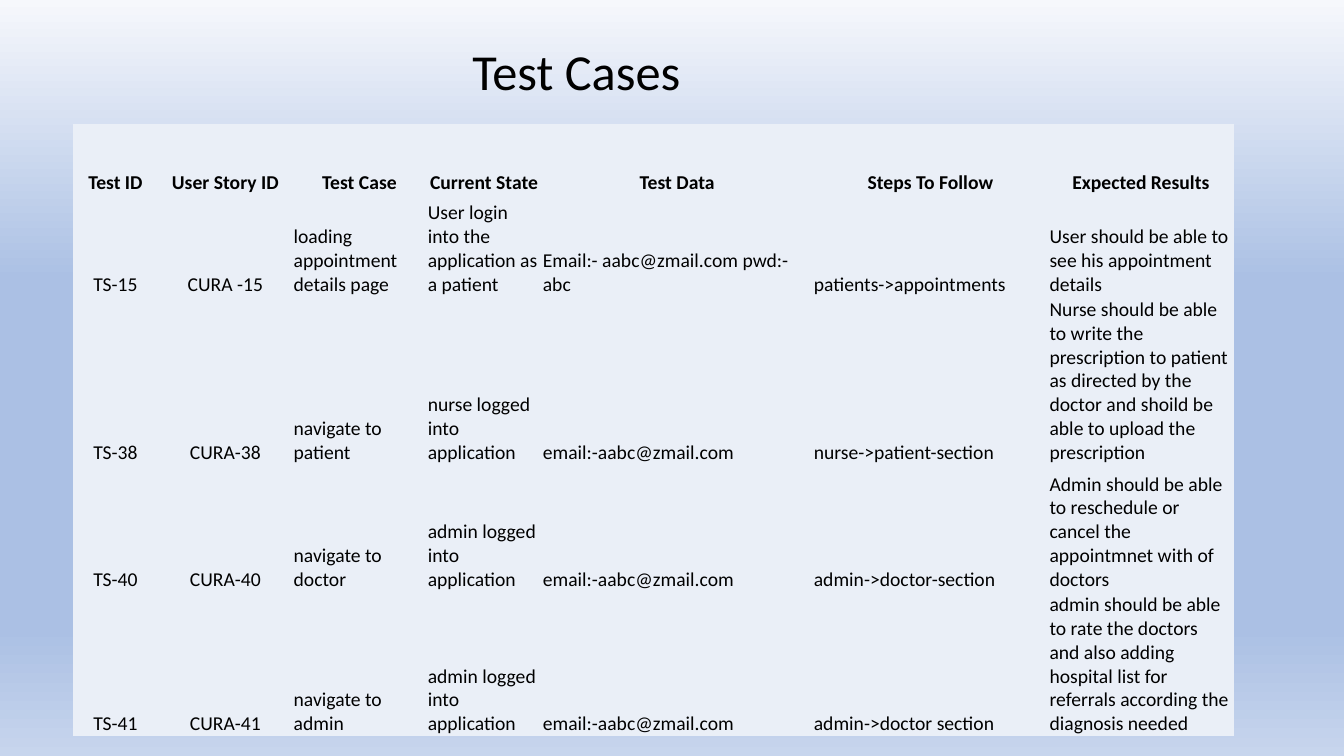
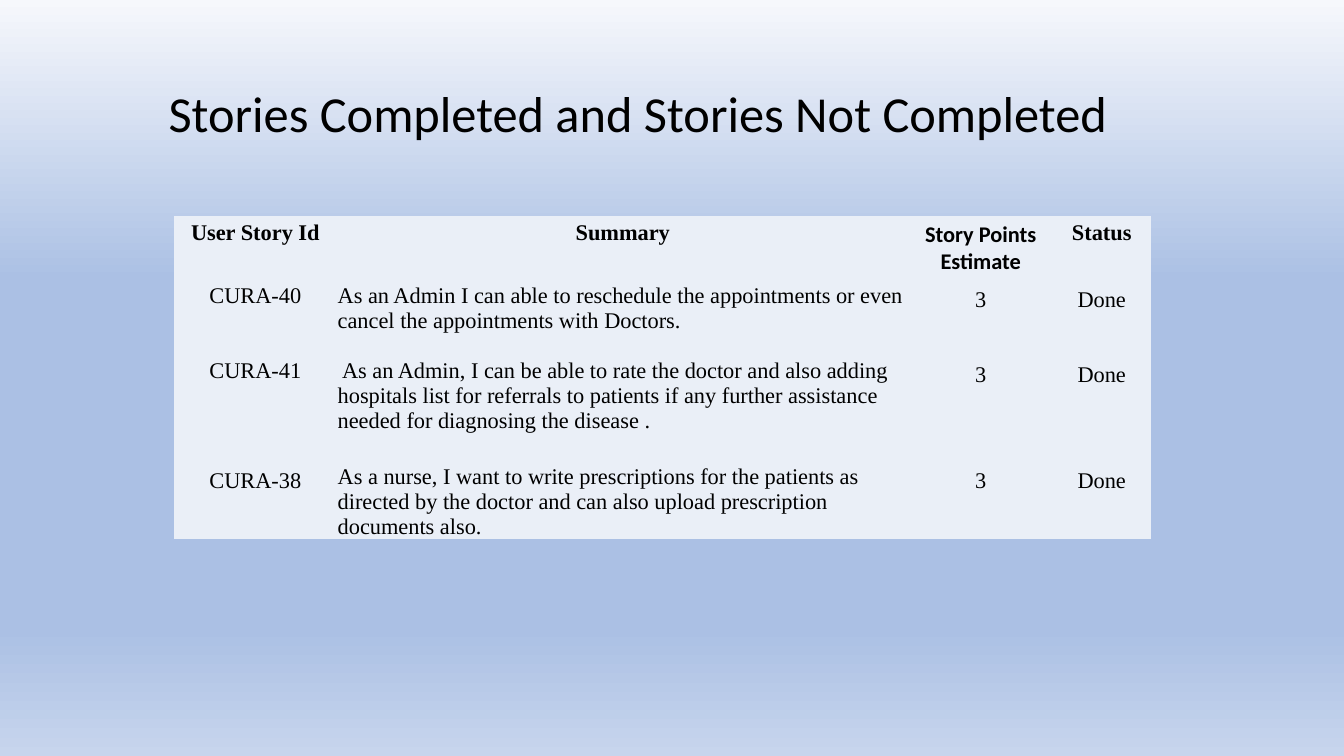
from copy import deepcopy

from pptx import Presentation
from pptx.dml.color import RGBColor
from pptx.enum.text import MSO_ANCHOR, MSO_AUTO_SIZE, PP_ALIGN
from pptx.oxml.ns import qn
from pptx.util import Cm, Pt

LEFT, CENTER = PP_ALIGN.LEFT, PP_ALIGN.CENTER
TOP, MIDDLE, BOTTOM = MSO_ANCHOR.TOP, MSO_ANCHOR.MIDDLE, MSO_ANCHOR.BOTTOM
NO_FIT = MSO_AUTO_SIZE.NONE
TITLE_ONLY = 5
SANS, SERIF = "Calibri", "Times New Roman"
PLAIN_TABLE = "{2D5ABB26-0587-4C30-8999-92F81FD0307C}"
COLORS = {"text": "000000", "cell": "EAEFF7", "pale": "F6F8FC",
          "blue": "ABC0E4", "mist": "C7D5ED"}
GRADIENT = [(0, "pale"), (0.37, "blue"), (0.83, "blue"), (1, "mist")]
TIGHT = {"margin_left": Cm(0.03), "margin_right": Cm(0.03),
         "margin_top": Cm(0.03), "margin_bottom": Cm(0)}

SLIDES = [
    {
        "title": "Test Cases",
        "title_box": (0.43, 0.64, 28.19, 2.44),
        "origin": (1.83, 3.12),
        "cols": [2.16, 3.38, 3.38, 2.9, 6.83, 5.94, 4.67],
        "rows": [1.78, 2.57, 2.57, 3.2, 3.2],
        "font": SANS, "size": 14, "anchor": BOTTOM,
        "left_cols": {2, 3, 4, 5, 6},
        "roomy": set(),
        "cell_fonts": {},
        "cells": [
            ["Test ID", "User Story ID", "Test Case", "Current State",
             "Test Data", "Steps To Follow", "Expected Results"],
            ["TS-15", "CURA -15", "loading appointment details page",
             "User login into the application as a patient",
             "Email:- aabc@zmail.com pwd:- abc", "patients->appointments",
             "User should be able to see his appointment details"],
            ["TS-38", "CURA-38", "navigate to patient",
             "nurse logged into application",
             "email:-aabc@zmail.com", "nurse->patient-section",
             "Nurse should be able to write the prescription to patient as "
             "directed by the doctor and shoild be able to upload the "
             "prescription"],
            ["TS-40", "CURA-40", "navigate to doctor",
             "admin logged into application",
             "email:-aabc@zmail.com", "admin->doctor-section",
             "Admin should be able to reschedule or cancel the appointmnet "
             "with of doctors"],
            ["TS-41", "CURA-41", "navigate to admin",
             "admin logged into application",
             "email:-aabc@zmail.com", "admin->doctor section",
             "admin should be able to rate the doctors and also adding "
             "hospital list for referrals according the diagnosis needed"],
        ],
    },
    {
        "title": "Stories Completed and Stories Not Completed",
        "title_box": (2.26, 1.73, 27.64, 2.41),
        "origin": (4.39, 5.44),
        "cols": [4.09, 14.43, 3.61, 2.49],
        "rows": [1.68, 1.88, 2.67, 1.91],
        "font": SERIF, "size": 16, "anchor": TOP,
        "left_cols": {1},
        "roomy": {(r, c) for r in range(4) for c in range(4)
                  if r == 0 or c > 1} | {(3, 0)},
        "cell_fonts": {(0, 2): SANS},
        "cells": [
            ["User Story Id", "Summary", "Story Points\nEstimate", "Status"],
            ["CURA-40",
             "As an Admin I can able to reschedule the appointments or even "
             "cancel the appointments with Doctors.", "3", "Done"],
            ["CURA-41",
             " As an Admin, I can be able to rate the doctor and also adding "
             "hospitals list for referrals to patients if any further "
             "assistance needed for diagnosing the disease .", "3", "Done"],
            ["CURA-38",
             "As a nurse, I want to write prescriptions for the patients as "
             "directed by the doctor and can also upload prescription "
             "documents also.", "3", "Done"],
        ],
    },
]


def set_text(tf, text, align, name, size, bold=False, spacing=None):
    tf.text = text
    for p in tf.paragraphs:
        p.alignment = align
        p.line_spacing = spacing
        for r in p.runs:
            for key, value in {"name": name, "size": Pt(size), "bold": bold}.items():
                setattr(r.font, key, value)
            r.font.color.rgb = RGBColor.from_string(COLORS["text"])


prs = Presentation()
prs.slide_width, prs.slide_height = Cm(33.87), Cm(19.05)

master = prs.slide_master
fill = master.background.fill
fill.gradient()
fill.gradient_angle = 270
stops = master.element.find(".//" + qn("a:gsLst"))
for stop in list(stops):
    stops.append(deepcopy(stop))
for stop, (position, color) in zip(fill.gradient_stops, GRADIENT):
    stop.position = position
    stop.color.rgb = RGBColor.from_string(COLORS[color])

for spec in SLIDES:
    s = prs.slides.add_slide(prs.slide_layouts[TITLE_ONLY])
    title = s.shapes.title
    title.left, title.top, title.width, title.height = map(Cm, spec["title_box"])
    tf = title.text_frame
    for key, value in {"word_wrap": True, "auto_size": NO_FIT,
                       "vertical_anchor": MIDDLE}.items():
        setattr(tf, key, value)
    set_text(tf, spec["title"], CENTER, SANS, 36, spacing=0.9)

    cols, rows = spec["cols"], spec["rows"]
    frame = s.shapes.add_table(len(rows), len(cols), *map(Cm, spec["origin"]),
                               Cm(sum(cols)), Cm(sum(rows)))
    frame._element.find(".//" + qn("a:tableStyleId")).text = PLAIN_TABLE
    table = frame.table
    table.horz_banding = False
    for column, width in zip(table.columns, cols):
        column.width = Cm(width)
    for row, height in zip(table.rows, rows):
        row.height = Cm(height)

    for i, texts in enumerate(spec["cells"]):
        for j, text in enumerate(texts):
            cell = table.cell(i, j)
            cell.fill.solid()
            cell.fill.fore_color.rgb = RGBColor.from_string(COLORS["cell"])
            cell.vertical_anchor = spec["anchor"]
            if (i, j) not in spec["roomy"]:
                for key, value in TIGHT.items():
                    setattr(cell, key, value)
            align = LEFT if i > 0 and j in spec["left_cols"] else CENTER
            font = spec["cell_fonts"].get((i, j), spec["font"])
            set_text(cell.text_frame, text, align, font, spec["size"], i == 0)

prs.save("out.pptx")
